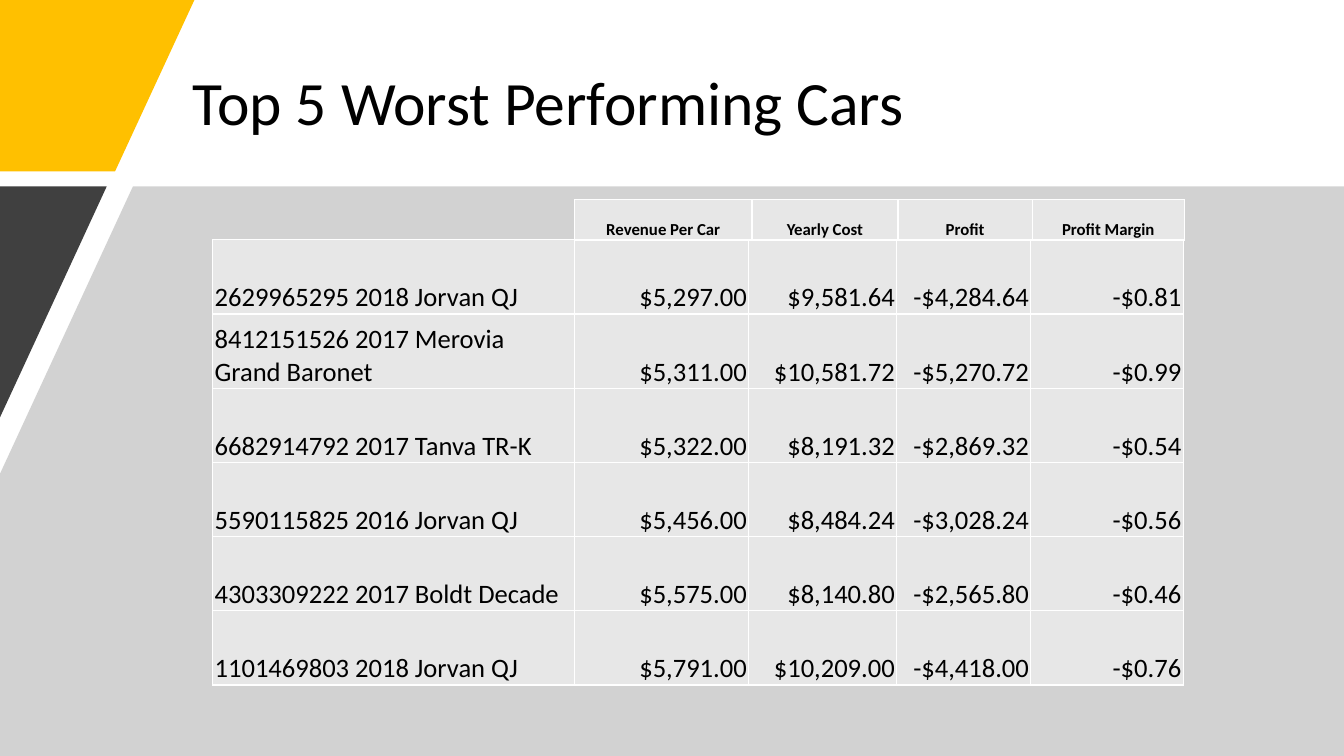
from dataclasses import dataclass

from lxml.etree import SubElement
from pptx import Presentation
from pptx.dml.color import RGBColor
from pptx.enum.text import MSO_ANCHOR, MSO_AUTO_SIZE, PP_ALIGN
from pptx.oxml.ns import qn
from pptx.slide import Slide
from pptx.table import _Cell
from pptx.text.text import _Paragraph
from pptx.util import Cm, Pt


@dataclass(frozen=True)
class Theme:
    """Colours, font and type sizes of the slide."""
    font: str = "Calibri"
    ink: str = "000000"
    yellow: str = "FFC000"
    charcoal: str = "404040"
    backdrop: str = "A6A6A6"
    cell: str = "E7E7E7"
    border: str = "FFFFFF"
    title_size: int = 44
    body_size: int = 19
    header_size: int = 12
    border_width: int = 1


@dataclass(frozen=True)
class Panel:
    """A filled polygon with corners in centimetres."""
    corners: tuple[tuple[float, float], ...]
    color: str
    opacity: int = 100


@dataclass(frozen=True)
class Car:
    """One car with its yearly figures in dollars."""
    name: str
    revenue: float
    cost: float

    def row(self) -> list[str]:
        """Give the texts of the car's table row."""
        profit = self.revenue - self.cost
        amounts = (self.revenue, self.cost, profit, profit / self.revenue)
        return [self.name, *map(dollars, amounts)]


@dataclass(frozen=True)
class Grid:
    """A table: place and sizes in centimetres, texts and their style."""
    left: float
    top: float
    widths: tuple[float, ...]
    row_height: float
    rows: list[list[str]]
    alignments: tuple[PP_ALIGN, ...]
    size: int
    inset: float
    bold: bool = False


THEME = Theme()
SLIDE_WIDTH, SLIDE_HEIGHT = 33.87, 19.05
BAND_TOP = 4.7

PANELS = (
    Panel(((0, 0), (4.9, 0), (2.9, 4.32), (0, 4.32)), THEME.yellow),
    Panel(((3.35, BAND_TOP), (SLIDE_WIDTH, BAND_TOP), (SLIDE_WIDTH, SLIDE_HEIGHT),
           (0, SLIDE_HEIGHT), (0, 11.94)), THEME.backdrop, 50),
    Panel(((0, BAND_TOP), (2.69, BAND_TOP), (0, 10.52)), THEME.charcoal),
)

CARS = (
    Car("2629965295 2018 Jorvan QJ", 5297, 9581.64),
    Car("8412151526 2017 Merovia Grand Baronet", 5311, 10581.72),
    Car("6682914792 2017 Tanva TR-K", 5322, 8191.32),
    Car("5590115825 2016 Jorvan QJ", 5456, 8484.24),
    Car("4303309222 2017 Boldt Decade", 5575, 8140.80),
    Car("1101469803 2018 Jorvan QJ", 5791, 10209),
)
HEADINGS = ["Revenue Per Car", "Yearly Cost", "Profit", "Profit Margin"]


def dollars(amount: float) -> str:
    """Write an amount in dollars and cents."""
    sign = "-" if amount < 0 else ""
    return f"{sign}${abs(amount):,.2f}"


def add_span(para: _Paragraph, text: str, size: int, bold: bool = False) -> None:
    """Add one run in the theme's font and ink."""
    span = para.add_run()
    span.text = text
    span.font.name = THEME.font
    span.font.size = Pt(size)
    span.font.bold = bold
    span.font.color.rgb = RGBColor.from_string(THEME.ink)


def add_title(page: Slide, text: str) -> None:
    """Move and fill the title placeholder."""
    box = page.shapes.title
    box.left, box.top, box.width, box.height = Cm(4.6), Cm(1.02), Cm(26.01), Cm(3.3)
    frame = box.text_frame
    frame.word_wrap = True
    frame.auto_size = MSO_AUTO_SIZE.NONE
    frame.vertical_anchor = MSO_ANCHOR.MIDDLE
    para = frame.paragraphs[0]
    para.alignment = PP_ALIGN.LEFT
    para.line_spacing = 0.9
    add_span(para, text, THEME.title_size)


def add_panel(page: Slide, panel: Panel) -> None:
    """Draw a polygon without line or shadow."""
    start, *others = [(Cm(x), Cm(y)) for x, y in panel.corners]
    builder = page.shapes.build_freeform(*start)
    builder.add_line_segments(others, close=True)
    shape = builder.convert_to_shape()
    shape.shadow.inherit = False
    shape.line.fill.background()
    shape.fill.solid()
    shape.fill.fore_color.rgb = RGBColor.from_string(panel.color)
    if panel.opacity < 100:
        color = shape.fill._xPr.find(qn("a:solidFill"))[0]
        SubElement(color, qn("a:alpha"), val=str(panel.opacity * 1000))


def set_borders(cell: _Cell) -> None:
    """Draw the theme's border on all four sides of a cell."""
    properties = cell._tc.get_or_add_tcPr()
    for position, side in enumerate(("lnL", "lnR", "lnT", "lnB")):
        line = SubElement(properties, qn(f"a:{side}"), w=str(Pt(THEME.border_width)))
        fill = SubElement(line, qn("a:solidFill"))
        SubElement(fill, qn("a:srgbClr"), val=THEME.border)
        properties.insert(position, line)


def fill_cell(cell: _Cell, text: str, alignment: PP_ALIGN, grid: Grid) -> None:
    """Format one cell and write its text."""
    cell.fill.solid()
    cell.fill.fore_color.rgb = RGBColor.from_string(THEME.cell)
    set_borders(cell)
    cell.vertical_anchor = MSO_ANCHOR.BOTTOM
    cell.margin_left = cell.margin_right = cell.margin_top = Cm(grid.inset)
    cell.margin_bottom = 0
    para = cell.text_frame.paragraphs[0]
    para.alignment = alignment
    add_span(para, text, grid.size, grid.bold)


def add_grid(page: Slide, grid: Grid) -> None:
    """Add a table and fill its cells."""
    table = page.shapes.add_table(
        len(grid.rows), len(grid.widths), Cm(grid.left), Cm(grid.top),
        Cm(sum(grid.widths)), Cm(grid.row_height * len(grid.rows))).table
    table.first_row = table.horz_banding = False
    for column, width in zip(table.columns, grid.widths):
        column.width = Cm(width)
    for row, texts in zip(table.rows, grid.rows):
        row.height = Cm(grid.row_height)
        for cell, text, alignment in zip(row.cells, texts, grid.alignments):
            fill_cell(cell, text, alignment, grid)


def main() -> None:
    """Build and save the slide."""
    deck = Presentation()
    deck.slide_width, deck.slide_height = Cm(SLIDE_WIDTH), Cm(SLIDE_HEIGHT)
    page = deck.slides.add_slide(deck.slide_layouts.get_by_name("Title Only"))
    add_title(page, "Top 5 Worst Performing Cars")
    for panel in PANELS:
        add_panel(page, panel)
    add_grid(page, Grid(
        5.36, 6.04, (9.12, 4.39, 3.73, 3.38, 3.84), 1.87, [car.row() for car in CARS],
        (PP_ALIGN.LEFT,) + (PP_ALIGN.RIGHT,) * 4, THEME.body_size, 0.05))
    add_grid(page, Grid(
        14.48, 5.03, (4.47, 3.68, 3.38, 3.84), 1.02, [HEADINGS],
        (PP_ALIGN.CENTER,) * 4, THEME.header_size, 0.03, bold=True))
    deck.save("out.pptx")


main()
